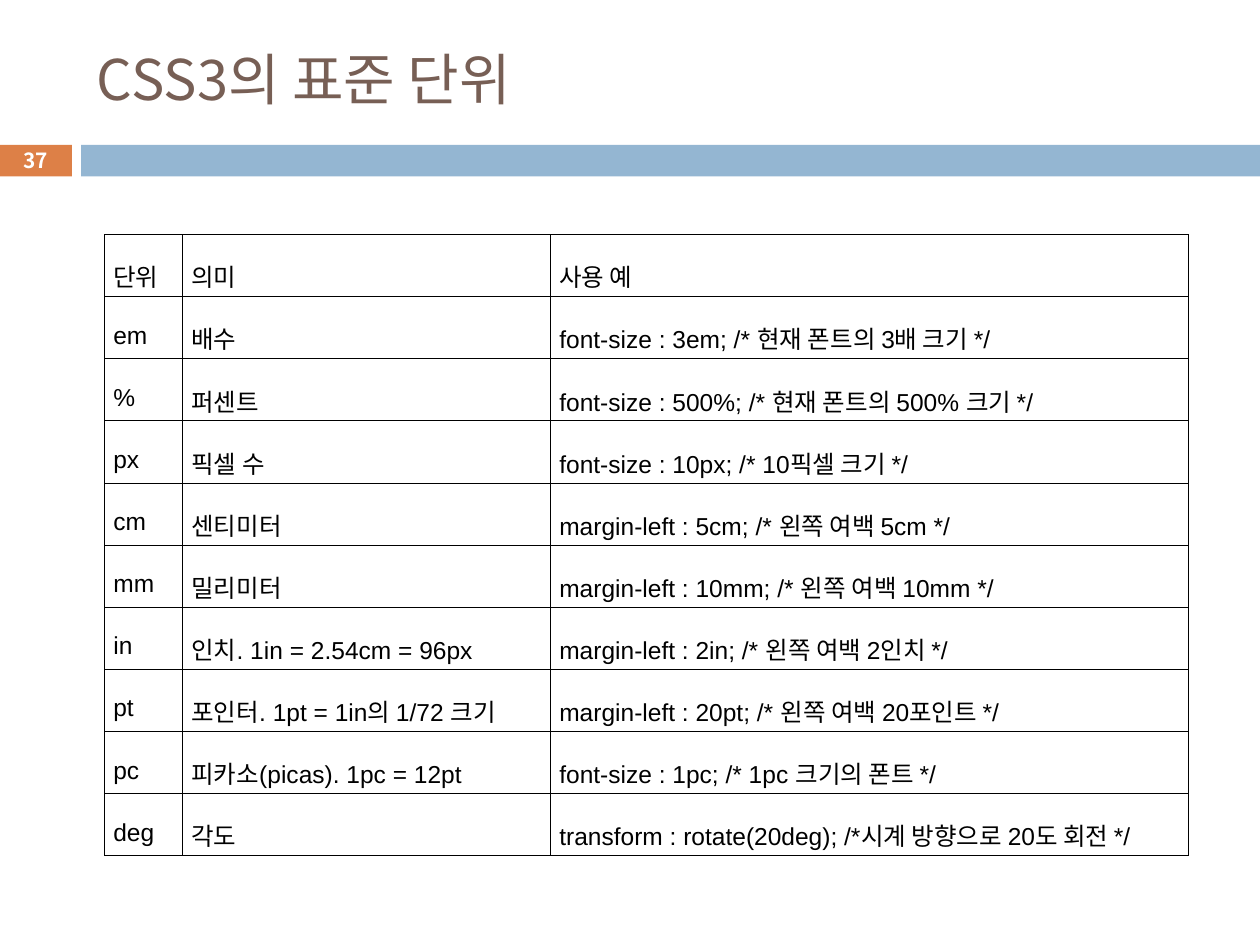
import collections

import lxml.etree
import pptx
import pptx.dml.color
import pptx.enum.shapes
import pptx.enum.text
import pptx.oxml.ns
import pptx.util

COLORS = {
    "title": "775F55",
    "number_bar": "DD8047",
    "band": "94B6D2",
    "light": "FFFFFF",
    "ink": "000000",
}
KOREAN = "Noto Sans CJK KR"
LATIN = "Arial"
GRID_COLUMNS, GRID_ROWS = 100, 75
CELL = pptx.util.Inches(0.1)

Box = collections.namedtuple("Box", "left top width height")

UNITS = [
    ("단위", "의미", "사용 예"),
    ("em", "배수", "font-size : 3em; /* 현재 폰트의 3배 크기 */"),
    ("%", "퍼센트", "font-size : 500%; /* 현재 폰트의 500% 크기 */"),
    ("px", "픽셀 수", "font-size : 10px; /* 10픽셀 크기 */"),
    ("cm", "센티미터", "margin-left : 5cm; /* 왼쪽 여백 5cm */"),
    ("mm", "밀리미터", "margin-left : 10mm; /* 왼쪽 여백 10mm */"),
    ("in", "인치. 1in = 2.54cm = 96px", "margin-left : 2in; /* 왼쪽 여백 2인치 */"),
    ("pt", "포인터. 1pt = 1in의 1/72 크기", "margin-left : 20pt; /* 왼쪽 여백 20포인트 */"),
    ("pc", "피카소(picas). 1pc = 12pt", "font-size : 1pc; /* 1pc 크기의 폰트 */"),
    ("deg", "각도", "transform : rotate(20deg); /*시계 방향으로 20도 회전 */"),
]


def on_grid(box):
    return [round(length * CELL) for length in box]


def rgb(name):
    return pptx.dml.color.RGBColor.from_string(COLORS[name])


def write(paragraph, text, size, font, color, bold=False):
    run = paragraph.add_run()
    run.text = text
    run.font.size = pptx.util.Pt(size)
    run.font.name = font
    run.font.bold = bold
    run.font.color.rgb = rgb(color)
    east_asian = lxml.etree.SubElement(
        run.font._element, pptx.oxml.ns.qn("a:ea"))
    east_asian.set("typeface", KOREAN)


def add_bar(slide, box, color):
    bar = slide.shapes.add_shape(
        pptx.enum.shapes.MSO_SHAPE.RECTANGLE, *on_grid(box))
    bar.shadow.inherit = False
    bar.fill.solid()
    bar.fill.fore_color.rgb = rgb(color)
    bar.line.fill.background()


def add_label(slide, box):
    frame = slide.shapes.add_textbox(*on_grid(box)).text_frame
    frame.word_wrap = True
    frame.vertical_anchor = pptx.enum.text.MSO_ANCHOR.MIDDLE
    return frame


def add_title(slide, box):
    frame = add_label(slide, box)
    write(frame.paragraphs[0], "CSS3의 표준 단위", 32, KOREAN, "title")


def add_number_band(slide, box):
    number_width, gap = 5.8, 0.75
    band_left = box.left + number_width + gap
    add_bar(slide, box._replace(width=number_width), "number_bar")
    add_bar(slide, box._replace(
        left=band_left, width=box.left + box.width - band_left), "band")
    frame = add_label(slide, Box(
        box.left, box.top - 0.15, number_width, box.height + 0.25))
    frame.margin_top = frame.margin_bottom = 0
    number = frame.paragraphs[0]
    number.alignment = pptx.enum.text.PP_ALIGN.CENTER
    write(number, "37", 11.9, KOREAN, "light", bold=True)


def draw_borders(cell):
    properties = cell._tc.get_or_add_tcPr()
    for position, side in enumerate(("lnL", "lnR", "lnT", "lnB")):
        border = lxml.etree.Element(pptx.oxml.ns.qn("a:" + side))
        border.set("w", str(pptx.util.Pt(0.28)))
        fill = lxml.etree.SubElement(border, pptx.oxml.ns.qn("a:solidFill"))
        color = lxml.etree.SubElement(fill, pptx.oxml.ns.qn("a:srgbClr"))
        color.set("val", COLORS["ink"])
        properties.insert(position, border)


def fill_cell(cell, text):
    cell.fill.background()
    cell.vertical_anchor = pptx.enum.text.MSO_ANCHOR.MIDDLE
    cell.margin_left = cell.margin_right = pptx.util.Inches(0.07)
    cell.margin_top = cell.margin_bottom = pptx.util.Inches(0.02)
    paragraph = cell.text_frame.paragraphs[0]
    paragraph.alignment = pptx.enum.text.PP_ALIGN.JUSTIFY
    paragraph.line_spacing = 1.6
    write(paragraph, text, 14, LATIN, "ink")
    draw_borders(cell)


def add_unit_table(slide, box):
    unit_width, meaning_width = 6.2, 29.2
    widths = (unit_width, meaning_width,
              box.width - unit_width - meaning_width)
    table = slide.shapes.add_table(
        len(UNITS), len(widths), *on_grid(box)).table
    table.first_row = table.horz_banding = False
    for column, width in zip(table.columns, widths):
        column.width = round(width * CELL)
    for row, texts in zip(table.rows, UNITS):
        for cell, text in zip(row.cells, texts):
            fill_cell(cell, text)


def main():
    deck = pptx.Presentation()
    deck.slide_width = GRID_COLUMNS * CELL
    deck.slide_height = GRID_ROWS * CELL
    slide = deck.slides.add_slide(deck.slide_layouts[6])
    add_number_band(slide, Box(-0.1, 11.5, GRID_COLUMNS + 0.1, 2.5))
    add_title(slide, Box(6.7, 2.5, 89.2, 7.4))
    add_unit_table(slide, Box(8.3, 18.6, 86, 49.3))
    deck.save("out.pptx")


if __name__ == "__main__":
    main()
